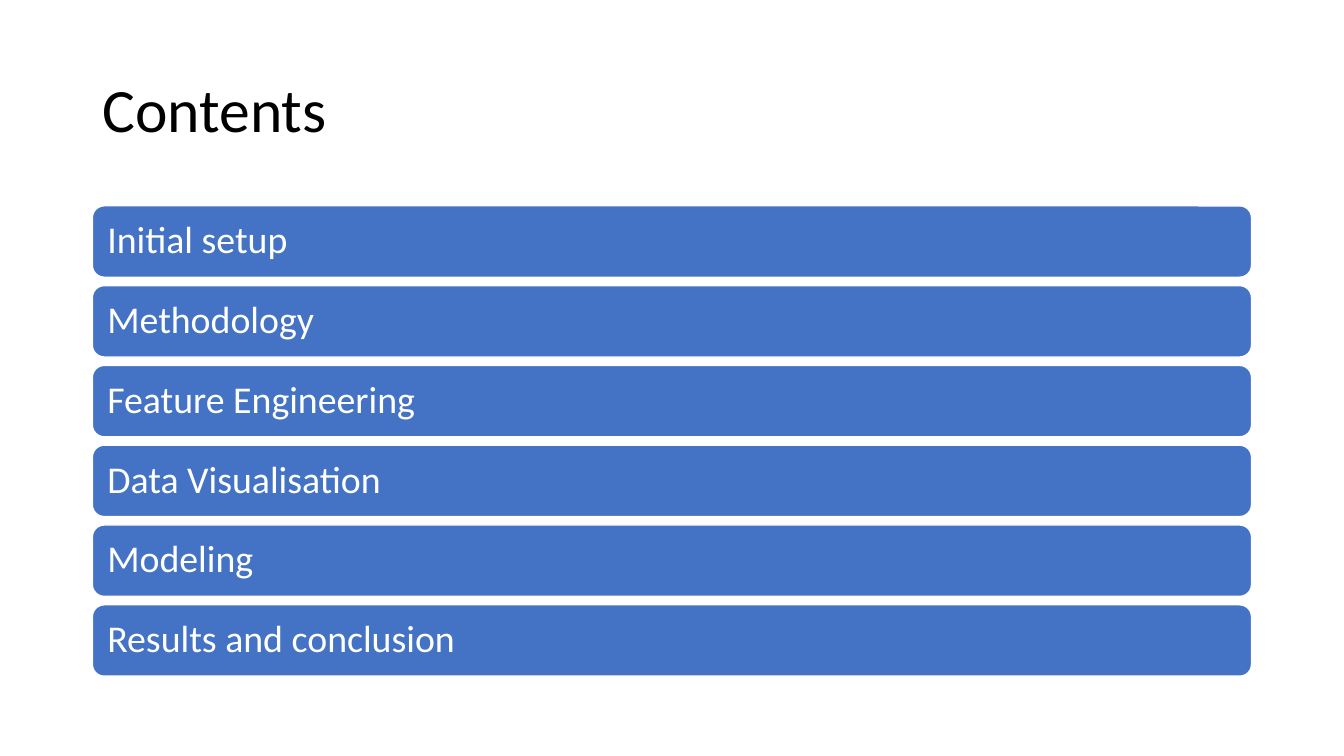
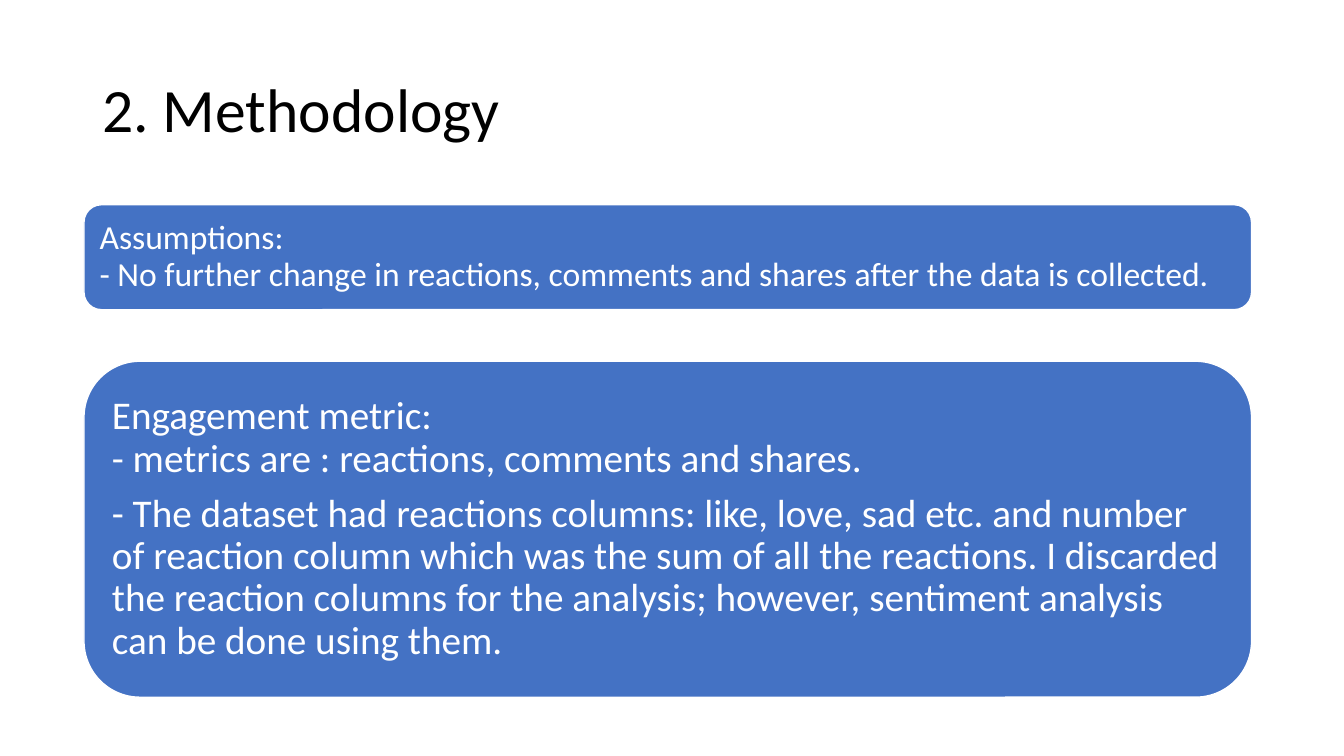
from dataclasses import dataclass

from pptx import Presentation
from pptx.dml.color import RGBColor
from pptx.enum.shapes import MSO_SHAPE
from pptx.enum.text import MSO_ANCHOR, PP_ALIGN
from pptx.shapes.autoshape import Shape
from pptx.slide import Slide
from pptx.util import Emu, Pt

BLACK = RGBColor(0x00, 0x00, 0x00)
WHITE = RGBColor(0xFF, 0xFF, 0xFF)
BLUE = RGBColor(0x44, 0x72, 0xC4)
FONT = "Calibri"
EMU_PER_PX = 9525

TOPICS = [
    "Initial setup",
    "Methodology",
    "Feature Engineering",
    "Data Visualisation",
    "Modeling",
    "Results and conclusion",
]
TOPIC_TOP, TOPIC_PITCH = 196, 76


@dataclass(frozen=True)
class Panel:
    """A rounded box; \\v in a paragraph is a line break."""
    left: int
    top: int
    width: int
    height: int
    size: int
    margin: int
    paragraphs: tuple[str, ...]


METHOD_PANELS = [
    Panel(80, 195, 1112, 100, 24, 10, (
        "Assumptions:\v- No further change in reactions, comments and shares "
        "after the data is collected.",
    )),
    Panel(80, 344, 1112, 320, 28, 11, (
        "Engagement metric:\v- metrics are : reactions, comments and shares.",
        "- The dataset had reactions columns: like, love, sad etc. and number "
        "of reaction column which was the sum of all the reactions. I discarded "
        "the reaction columns for the analysis; however, sentiment analysis "
        "can be done using them.",
    )),
]


def px(value: int) -> Emu:
    return Emu(value * EMU_PER_PX)


def write_text(sp: Shape, paragraphs: tuple[str, ...], *, size: int,
               color: RGBColor, gap: int = 0) -> None:
    tf = sp.text_frame
    tf.word_wrap = True
    tf.vertical_anchor = MSO_ANCHOR.MIDDLE
    for i, text in enumerate(paragraphs):
        p = tf.add_paragraph() if i else tf.paragraphs[0]
        p.text = text
        p.alignment = PP_ALIGN.LEFT
        p.line_spacing = 0.9
        p.space_before = Pt(gap if i else 0)
        for r in p.runs:
            r.font.name = FONT
            r.font.size = Pt(size)
            r.font.color.rgb = color


def add_panel(slide: Slide, panel: Panel) -> None:
    sp = slide.shapes.add_shape(
        MSO_SHAPE.ROUNDED_RECTANGLE, px(panel.left), px(panel.top),
        px(panel.width), px(panel.height))
    sp.shadow.inherit = False
    sp.fill.solid()
    sp.fill.fore_color.rgb = BLUE
    sp.line.color.rgb = WHITE
    sp.line.width = Pt(1)
    tf = sp.text_frame
    tf.margin_left = tf.margin_right = px(panel.margin)
    tf.margin_top = tf.margin_bottom = px(panel.margin)
    write_text(sp, panel.paragraphs, size=panel.size, color=WHITE, gap=9)


def add_slide(prs: Presentation, title: str, panels: list[Panel]) -> None:
    slide = prs.slides.add_slide(prs.slide_layouts[6])
    sp = slide.shapes.add_textbox(px(88), px(38), px(1104), px(139))
    write_text(sp, (title,), size=44, color=BLACK)
    for panel in panels:
        add_panel(slide, panel)


def main() -> None:
    prs = Presentation()
    prs.slide_width, prs.slide_height = px(1280), px(720)
    topic_panels = [
        Panel(88, TOPIC_TOP + i * TOPIC_PITCH, 1104, 68, 27, 11, (topic,))
        for i, topic in enumerate(TOPICS)
    ]
    add_slide(prs, "Contents", topic_panels)
    add_slide(prs, "2. Methodology", METHOD_PANELS)
    prs.save("out.pptx")


if __name__ == "__main__":
    main()
